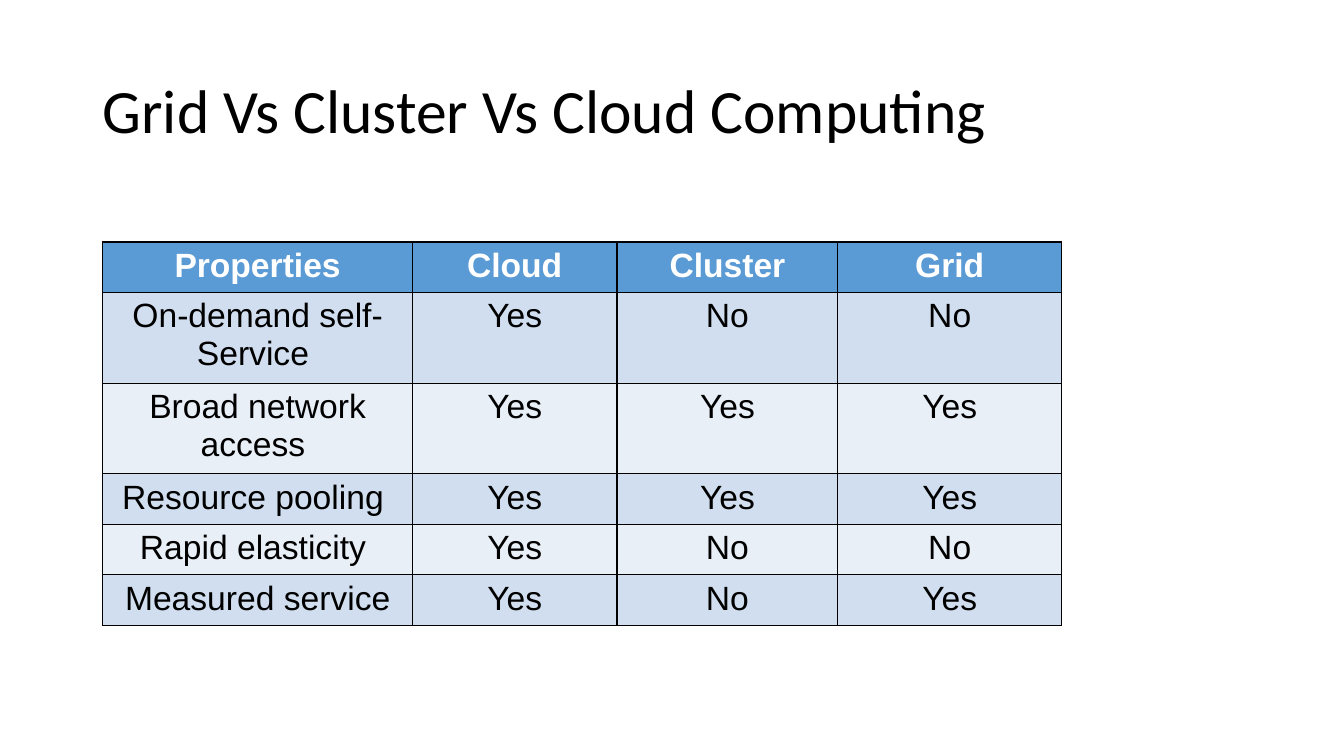
from lxml.etree import SubElement
from pptx import Presentation
from pptx.dml.color import RGBColor
from pptx.enum.text import MSO_ANCHOR, PP_ALIGN
from pptx.oxml.ns import qn
from pptx.util import Inches, Pt

COLORS = {
    "ink": "000000",
    "white": "FFFFFF",
    "head": "5B9BD5",
    "odd": "D0DEEF",
    "even": "E9EFF7",
}
TITLE = {"name": "Calibri", "size": Pt(44), "bold": False}
HEAD = {"name": "Arial", "size": Pt(24), "bold": True}
BODY = {**HEAD, "bold": False}
WIDTHS = [3.07, 2.03, 2.19, 2.22]
ROWS = [
    ["Properties", "Cloud", "Cluster", "Grid"],
    ["On-demand self- Service ", "Yes", "No", "No"],
    ["Broad network access ", "Yes", "Yes", "Yes"],
    ["Resource pooling ", "Yes", "Yes", "Yes"],
    ["Rapid elasticity ", "Yes", "No", "No"],
    ["Measured service", "Yes", "No", "Yes"],
]


def rgb(key):
    return RGBColor.from_string(COLORS[key])


def write(frame, text, style, color, align):
    para = frame.paragraphs[0]
    para.alignment = align
    run = para.add_run()
    run.text = text
    for name, value in style.items():
        setattr(run.font, name, value)
    run.font.color.rgb = rgb(color)
    return para


def add_title(slide, text):
    box = slide.shapes.add_textbox(Inches(0.92), Inches(0.4), Inches(11.5), Inches(1.45))
    frame = box.text_frame
    layout = {"word_wrap": True, "vertical_anchor": MSO_ANCHOR.MIDDLE}
    for name, value in layout.items():
        setattr(frame, name, value)
    para = write(frame, text, TITLE, "ink", PP_ALIGN.LEFT)
    para.line_spacing = 0.9


def add_border(cell):
    props = cell._tc.get_or_add_tcPr()
    for side in ("lnL", "lnR", "lnT", "lnB"):
        line = SubElement(props, qn(f"a:{side}"), w=str(Pt(1)))
        fill = SubElement(line, qn("a:solidFill"))
        SubElement(fill, qn("a:srgbClr"), val=COLORS["ink"])


def fill_cell(cell, text, style, color, fill):
    write(cell.text_frame, text, style, color, PP_ALIGN.CENTER)
    add_border(cell)
    cell.fill.solid()
    cell.fill.fore_color.rgb = rgb(fill)


def add_grid(slide, rows, widths):
    height = Inches(0.41)
    frame = slide.shapes.add_table(
        len(rows), len(widths), Inches(1.02), Inches(2.4),
        Inches(sum(widths)), height * len(rows),
    )
    table = frame.table
    for column, width in zip(table.columns, widths):
        column.width = Inches(width)
    for index, values in enumerate(rows):
        table.rows[index].height = height
        if index == 0:
            look = (HEAD, "white", "head")
        else:
            look = (BODY, "ink", "odd" if index % 2 else "even")
        for cell, text in zip(table.rows[index].cells, values):
            fill_cell(cell, text, *look)


def main():
    deck = Presentation()
    deck.slide_width = Inches(13.33)
    deck.slide_height = Inches(7.5)
    slide = deck.slides.add_slide(deck.slide_layouts[6])
    add_title(slide, "Grid Vs Cluster Vs Cloud Computing")
    add_grid(slide, ROWS, WIDTHS)
    deck.save("out.pptx")


if __name__ == "__main__":
    main()
